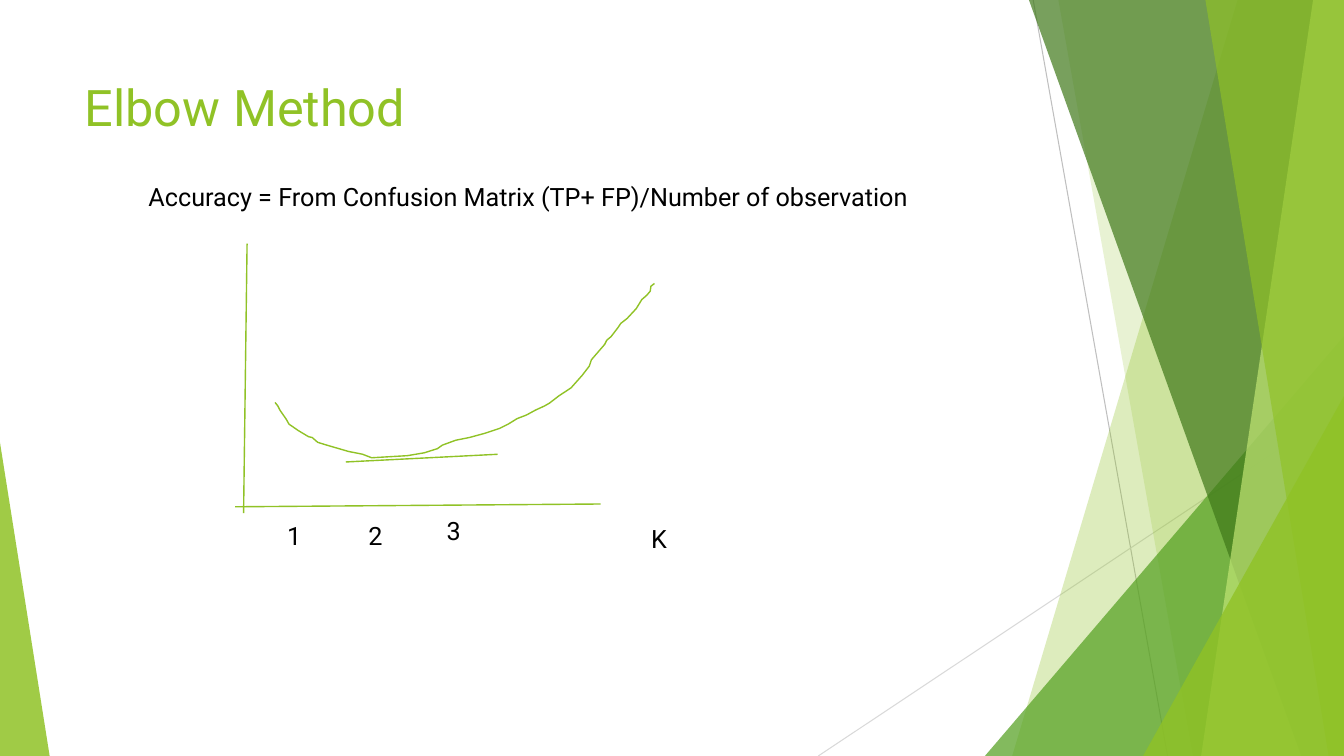
from lxml.etree import SubElement
from pptx import Presentation
from pptx.dml.color import RGBColor
from pptx.enum.shapes import MSO_CONNECTOR as Connector, MSO_SHAPE as Shape
from pptx.enum.text import MSO_ANCHOR as Anchor
from pptx.oxml.ns import qn
from pptx.util import Pt

LIME = RGBColor(0x90, 0xC2, 0x26)
GREEN = RGBColor(0x54, 0xA0, 0x21)
FOREST = RGBColor(0x3F, 0x78, 0x19)
PALE_LIME = RGBColor(0xC0, 0xE4, 0x74)
GRAY = RGBColor(0xBF, 0xBF, 0xBF)
LIGHT_GRAY = RGBColor(0xD9, 0xD9, 0xD9)
BLACK = RGBColor(0, 0, 0)

WIDTH, HEIGHT = 960, 540

ELBOW_CURVE = [
    (196.5, 287.5), (198.5, 290), (200, 293), (204.5, 299.5), (206.5, 303),
    (213, 307.5), (220.5, 312), (223, 312.5), (227, 316), (233.5, 318),
    (249, 322.5), (259, 324.5), (265.5, 327), (291, 325.5), (303, 323.5),
    (312.5, 320.5), (316, 318), (325.5, 314.5), (335.5, 312.5), (346.5, 309.5),
    (357, 306), (363, 303), (369.5, 299), (376, 296.5), (382.5, 293),
    (389, 290), (392.5, 288), (399, 283), (408, 277), (416, 268),
    (421, 261.5), (422.5, 257), (425.5, 253.5), (432, 246), (433.5, 243),
    (436.5, 240.5), (441.5, 234), (443.5, 231), (448, 227.5), (454.5, 220.5),
    (458.5, 214), (462, 211), (464.5, 208), (465, 204.5), (467.5, 202.5),
]


def write_text(box, text, size=18, color=BLACK, font="Roboto", anchor=Anchor.TOP):
    frame = box.text_frame
    frame.word_wrap = True
    frame.vertical_anchor = anchor
    para = frame.paragraphs[0]
    span = para.add_run()
    span.text = text
    span.font.name = font
    span.font.size = Pt(size)
    span.font.color.rgb = color


class Painter:
    def __init__(self, page, accent=LIME, stroke=1):
        self.page = page
        self.accent = accent
        self.stroke = stroke

    def line(self, start, end, color=None, width=None):
        ends = [Pt(value) for value in (*start, *end)]
        line = self.page.shapes.add_connector(Connector.STRAIGHT, *ends)
        line.line.color.rgb = color or self.accent
        line.line.width = Pt(width or self.stroke)
        SubElement(line._element.spPr, qn("a:effectLst"))

    def outline(self, points, close):
        corners = [(Pt(x), Pt(y)) for x, y in points]
        builder = self.page.shapes.build_freeform(*corners[0])
        builder.add_line_segments(corners[1:], close=close)
        shape = builder.convert_to_shape()
        shape.shadow.inherit = False
        return shape

    def tint(self, shape, color, opacity):
        shape.fill.solid()
        shape.fill.fore_color.rgb = color
        shape.line.fill.background()
        fill = shape._element.spPr.find(qn("a:solidFill"))
        SubElement(fill[0], qn("a:alpha"), val=str(opacity * 1000))

    def band(self, top_left, bottom_left, color, opacity):
        corners = [(top_left, 0), (WIDTH, 0), (WIDTH, HEIGHT), (bottom_left, HEIGHT)]
        self.tint(self.outline(corners, True), color, opacity)

    def triangle(self, left, top, width, apex, color, opacity):
        shape = self.page.shapes.add_shape(
            Shape.ISOSCELES_TRIANGLE, Pt(left), Pt(top), Pt(width), Pt(HEIGHT - top))
        shape.adjustments[0] = apex
        shape.shadow.inherit = False
        self.tint(shape, color, opacity)

    def curve(self, points):
        shape = self.outline(points, False)
        shape.fill.background()
        shape.line.color.rgb = self.accent
        shape.line.width = Pt(self.stroke)

    def text(self, text, left, top, width, height=29, **style):
        box = self.page.shapes.add_textbox(Pt(left), Pt(top), Pt(width), Pt(height))
        write_text(box, text, **style)


def draw_backdrop(painter):
    painter.line((738, 0), (834, HEIGHT), GRAY, 0.75)
    painter.line((WIDTH, 290), (584.5, HEIGHT), LIGHT_GRAY, 0.75)
    painter.band(884, 723, LIME, 30)
    painter.band(756, 852, LIME, 20)
    painter.triangle(703.5, 240, 256.5, 1, GREEN, 72)
    painter.band(735, 929.5, FOREST, 70)
    painter.band(938, 858, PALE_LIME, 70)
    painter.band(861, 949, LIME, 65)
    painter.triangle(816.5, 283, 143.5, 1, LIME, 80)
    painter.triangle(0, 316, 35.5, 0, LIME, 85)


def draw_elbow_sketch(painter):
    painter.line((176.5, 174), (174, 366.5))
    painter.line((168, 362), (429, 360))
    for label, left, top in (("1", 198, 368), ("2", 256, 368), ("3", 312, 364.5), ("K", 458, 370)):
        painter.text(label, left, top, 62.5)
    painter.curve(ELBOW_CURVE)
    painter.line((247, 330), (355.5, 324.5))


def main():
    deck = Presentation()
    deck.slide_width, deck.slide_height = Pt(WIDTH), Pt(HEIGHT)
    page = deck.slides.add_slide(deck.slide_layouts[6])
    painter = Painter(page)
    draw_backdrop(painter)
    painter.text("Elbow Method", 53.5, 48, 677, 55.5,
                 size=36, color=LIME, anchor=Anchor.MIDDLE)
    painter.text("Accuracy = From Confusion Matrix (TP+ FP)/Number of observation",
                 99, 126, 590)
    draw_elbow_sketch(painter)
    deck.save("out.pptx")


if __name__ == "__main__":
    main()
